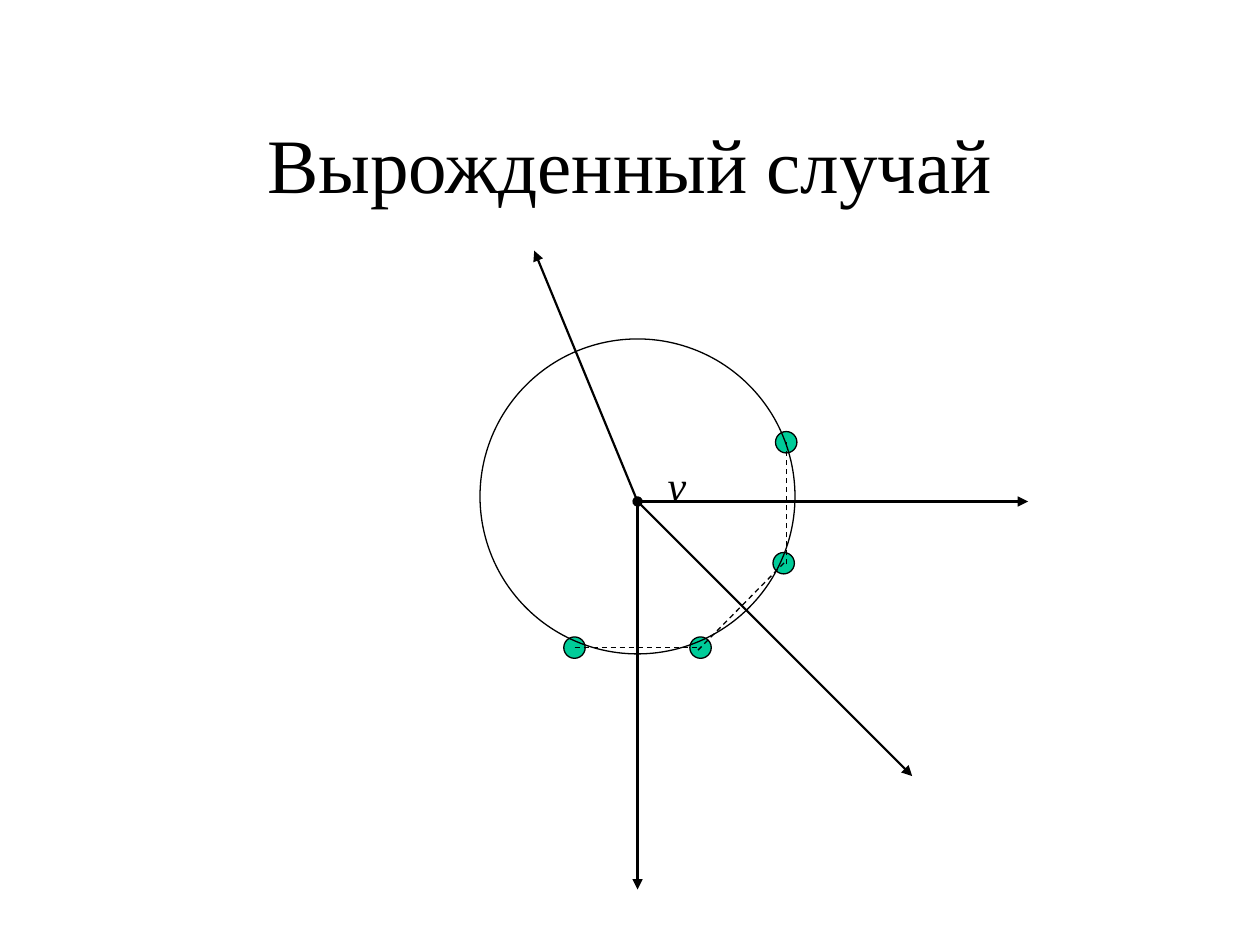
import pptx
import pptx.util
import pptx.dml.color
import pptx.enum.dml
import pptx.enum.shapes
import pptx.enum.text
import pptx.oxml
from pptx.util import Inches

BLACK = "000000"
GREEN = "00CC99"
FONT = "Times New Roman"


def color(hex_value):
    return pptx.dml.color.RGBColor.from_string(hex_value)


def add_line(start, end, width, dashed=False, head=None, tail=None):
    line = slide.shapes.add_connector(
        pptx.enum.shapes.MSO_CONNECTOR.STRAIGHT, *map(Inches, (*start, *end)))
    line.line.color.rgb = color(BLACK)
    line.line.width = pptx.util.Pt(width)
    if dashed:
        line.line.dash_style = pptx.enum.dml.MSO_LINE.DASH
    properties = line._element.spPr
    for tag, kind in (("a:headEnd", head), ("a:tailEnd", tail)):
        if kind:
            end_mark = pptx.oxml.xmlchemy.OxmlElement(tag)
            end_mark.set("type", kind)
            line.line._get_or_add_ln().append(end_mark)
    properties.append(pptx.oxml.xmlchemy.OxmlElement("a:effectLst"))


def add_circle(center, diameter, fill=None):
    left, top = (c - diameter / 2 for c in center)
    circle = slide.shapes.add_shape(
        pptx.enum.shapes.MSO_SHAPE.OVAL,
        *map(Inches, (left, top, diameter, diameter)))
    circle.shadow.inherit = False
    if fill:
        circle.fill.solid()
        circle.fill.fore_color.rgb = color(fill)
    else:
        circle.fill.background()
    circle.line.color.rgb = color(BLACK)
    circle.line.width = pptx.util.Pt(0.75)


presentation = pptx.Presentation()
presentation.slide_width = Inches(10)
presentation.slide_height = Inches(7.5)
slide = presentation.slides.add_slide(presentation.slide_layouts[5])

# Title
title = slide.shapes.title
title.left, title.top, title.width, title.height = map(Inches, (0.75, 0.67, 8.5, 1.25))
title.text_frame.vertical_anchor = pptx.enum.text.MSO_ANCHOR.MIDDLE
title_line = title.text_frame.paragraphs[0]
title_line.alignment = pptx.enum.text.PP_ALIGN.CENTER
title_run = title_line.add_run()
title_run.text = "Вырожденный случай"
title_run.font.size = pptx.util.Pt(44)

# Sites on the circle
for site in ((4.56, 5.14), (5.56, 5.14), (6.22, 4.47), (6.24, 3.51)):
    add_circle(site, 0.17, GREEN)

# Dashed segments between neighbouring sites
for start, end in (((4.56, 5.14), (5.56, 5.14)),
                   ((5.54, 5.16), (6.24, 4.45)),
                   ((6.24, 4.48), (6.24, 3.48))):
    add_line(start, end, 0.75, dashed=True)

# Rays leaving the vertex; the last one carries the vertex dot
vertex = (5.06, 3.98)
for ray_end, dot in (((5.06, 7.06), None), ((7.24, 6.16), None),
                     ((8.16, 3.98), None), ((4.24, 1.99), "oval")):
    add_line(vertex, ray_end, 1.25, head=dot, tail="triangle")

# Vertex label
label = slide.shapes.add_textbox(*map(Inches, (5.2, 3.6, 0.35, 0.5)))
label.text_frame.word_wrap = False
label.text_frame.auto_size = pptx.enum.text.MSO_AUTO_SIZE.SHAPE_TO_FIT_TEXT
label_run = label.text_frame.paragraphs[0].add_run()
label_run.text = "v"
label_run.font.size = pptx.util.Pt(24)
label_run.font.italic = True

for run in (title_run, label_run):
    run.font.name = FONT
    run.font.color.rgb = color(BLACK)

# Circle centred near the vertex
add_circle((5.06, 3.94), 2.5)

presentation.save("out.pptx")
